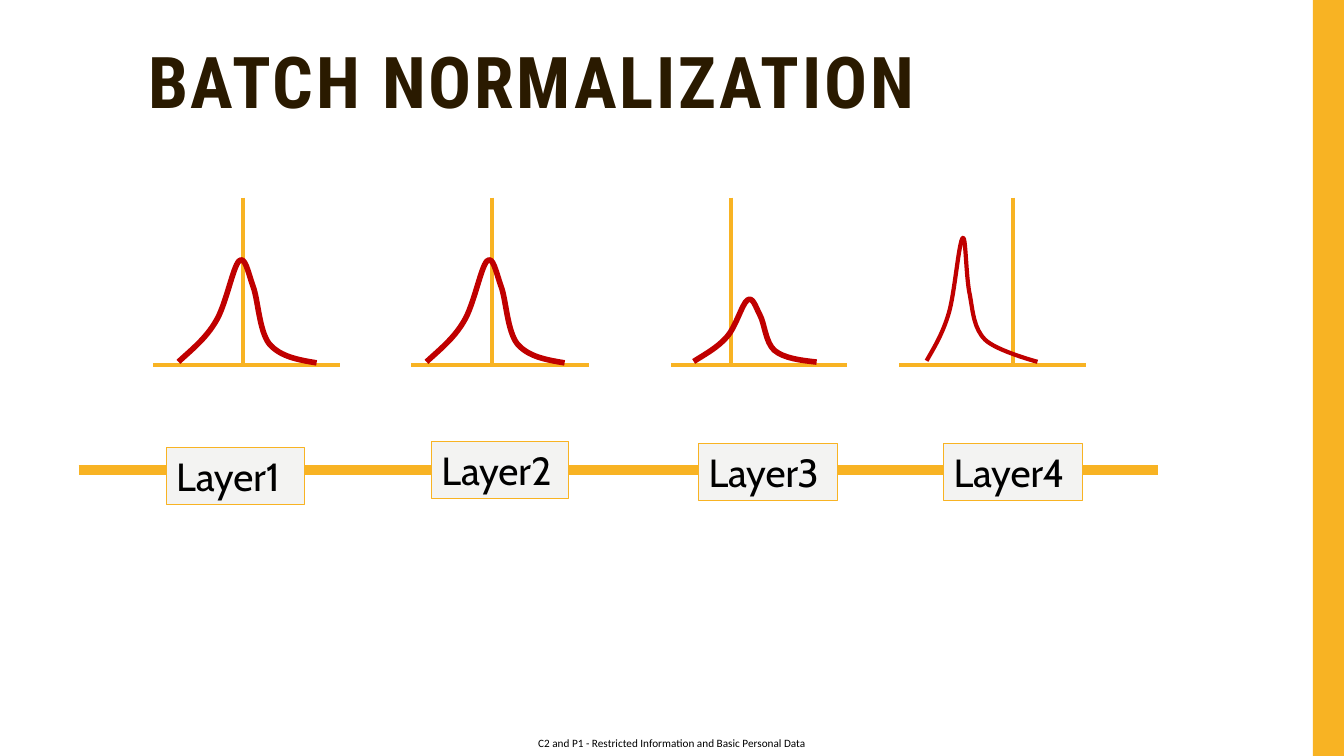
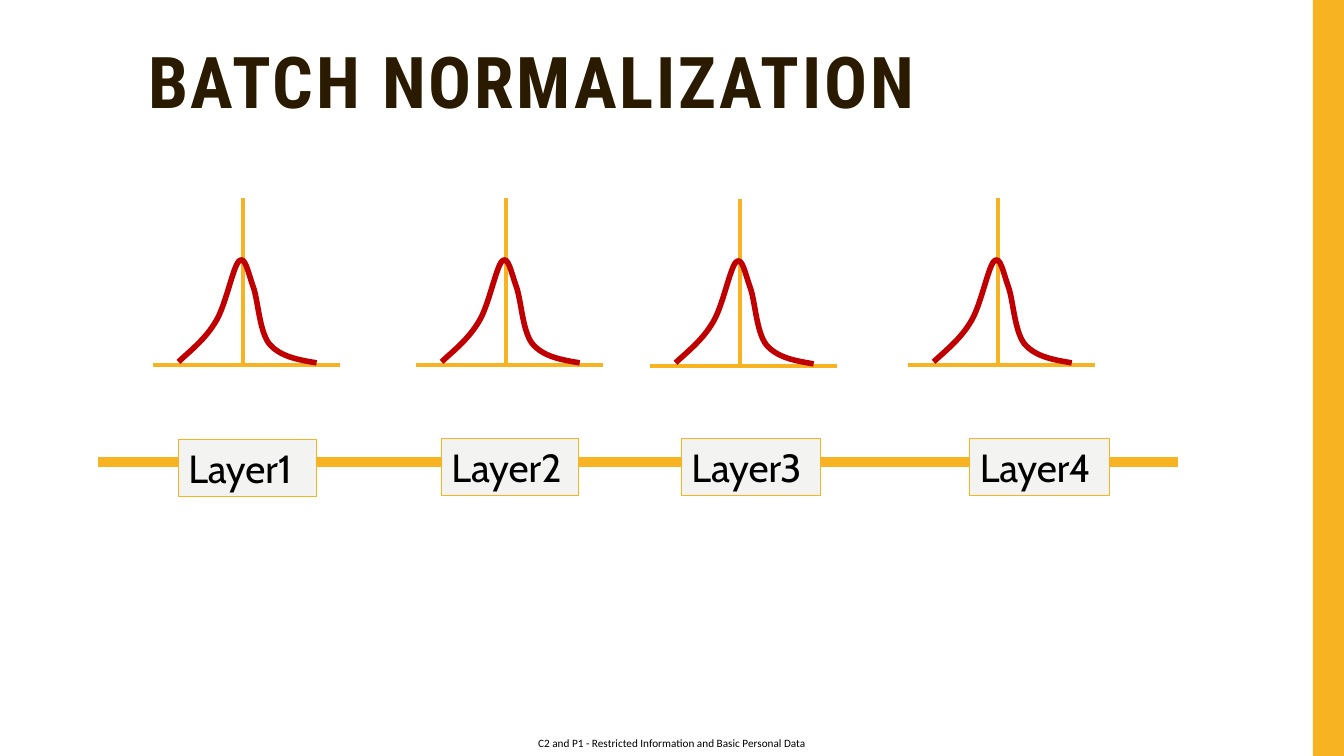
from dataclasses import dataclass

from lxml.etree import SubElement
from pptx import Presentation
from pptx.dml.color import RGBColor
from pptx.enum.shapes import MSO_CONNECTOR, MSO_SHAPE
from pptx.enum.text import MSO_ANCHOR, PP_ALIGN
from pptx.oxml.ns import qn
from pptx.shapes.autoshape import Shape
from pptx.slide import Slide
from pptx.util import Inches, Pt

COLOURS = {
    "gold": "F8B323",
    "title": "2A1A00",
    "curve": "C00000",
    "layer": "F3F3F2",
    "text": "000000",
}
FONTS = {
    "title": {"name": "Roboto Condensed", "size": Pt(51), "bold": True},
    "layer": {"name": "Cabin", "size": Pt(28), "bold": False},
    "footer": {"name": "Calibri", "size": Pt(8), "bold": False},
}
TOP = {"vertical_anchor": MSO_ANCHOR.TOP}
FOOTER_FRAME = {
    "vertical_anchor": MSO_ANCHOR.MIDDLE,
    "margin_left": 0, "margin_right": 0, "margin_top": 0, "margin_bottom": 0,
}

Point = tuple[float, float]

BELL: tuple[Point, ...] = (
    (0, 1.01), (0.13, 0.89), (0.27, 0.78), (0.37, 0.61),
    (0.47, 0.45), (0.54, 0.07), (0.6, 0.01),
    (0.66, -0.05), (0.69, 0.12), (0.74, 0.26),
    (0.79, 0.39), (0.8, 0.7), (0.9, 0.83),
    (1.01, 0.96), (1.19, 0.99), (1.37, 1.02),
)
SPIKE: tuple[Point, ...] = (
    (0, 1.23), (0.08, 1.09), (0.16, 0.96), (0.22, 0.76),
    (0.28, 0.56), (0.32, 0.04), (0.36, 0.01),
    (0.39, -0.02), (0.39, 0.41), (0.43, 0.58),
    (0.46, 0.75), (0.47, 0.91), (0.58, 1.02),
    (0.69, 1.13), (1.1, 1.24), (1.1, 1.24),
)


@dataclass(frozen=True)
class Curve:
    """A distribution outline, its place, scale and line weight."""

    left: float
    top: float = 2.58
    outline: tuple[Point, ...] = BELL
    scale_x: float = 1
    scale_y: float = 1
    weight: float = 4


@dataclass(frozen=True)
class Graph:
    """A pair of axes with a distribution over them."""

    left: float
    mean: float
    curve: Curve
    width: float = 1.85
    base: float = 3.62


@dataclass(frozen=True)
class Layer:
    """A named box on the network line."""

    left: float
    top: float
    width: float = 1.38


@dataclass(frozen=True)
class Network:
    """The content of one slide."""

    line_left: float
    line_y: float
    layers: tuple[Layer, ...]
    graphs: tuple[Graph, ...]


def centred_graph(left: float, drop: float = 0) -> Graph:
    """Return a graph whose bell sits on its vertical axis."""
    return Graph(left, left + 0.89, Curve(left + 0.25, 2.58 + drop), base=3.62 + drop)


NETWORKS = (
    Network(
        0.78, 4.66,
        (Layer(1.65, 4.44, 1.37), Layer(4.28, 4.38, 1.36), Layer(6.93, 4.4), Layer(9.36, 4.4)),
        (
            centred_graph(1.52),
            Graph(4.08, 4.88, Curve(4.23), width=1.76),
            Graph(6.66, 7.25, Curve(6.88, 2.97, scale_x=0.89, scale_y=0.61), width=1.74),
            Graph(8.92, 10.05, Curve(9.19, 2.35, SPIKE, weight=3)),
        ),
    ),
    Network(
        0.97, 4.58,
        (Layer(1.77, 4.36, 1.37), Layer(4.38, 4.35, 1.36), Layer(6.76, 4.35), Layer(9.62, 4.35)),
        (
            centred_graph(1.52),
            centred_graph(4.13),
            centred_graph(6.45, drop=0.01),
            centred_graph(9.01),
        ),
    ),
)


def colour(name: str) -> RGBColor:
    """Return a named colour."""
    return RGBColor.from_string(COLOURS[name])


def apply(target: object, values: dict) -> None:
    """Set attributes from a dict of format values."""
    for name, value in values.items():
        setattr(target, name, value)


def write(box: Shape, text: str, style: str, ink: str, frame: dict, para_format: dict) -> None:
    """Fill a shape with one formatted paragraph."""
    apply(box.text_frame, {"word_wrap": True, **frame})
    para = box.text_frame.paragraphs[0]
    apply(para, para_format)
    span = para.add_run()
    span.text = text
    apply(span.font, FONTS[style])
    span.font.color.rgb = colour(ink)
    if style == "title":
        span.font._element.set("spc", "200")


def add_rectangle(page: Slide, left: float, top: float, width: float, height: float, fill: str) -> Shape:
    """Draw a plain rectangle without a line."""
    box = page.shapes.add_shape(
        MSO_SHAPE.RECTANGLE, Inches(left), Inches(top), Inches(width), Inches(height)
    )
    box.shadow.inherit = False
    box.fill.solid()
    box.fill.fore_color.rgb = colour(fill)
    box.line.fill.background()
    return box


def add_line(page: Slide, start: Point, end: Point, weight: float) -> None:
    """Draw a straight gold line."""
    ends = [Inches(value) for value in (*start, *end)]
    line = page.shapes.add_connector(MSO_CONNECTOR.STRAIGHT, *ends)
    line.line.color.rgb = colour("gold")
    line.line.width = Pt(weight)
    SubElement(line._element.spPr, qn("a:effectLst"))


def bend(shape: Shape, points: list[tuple[int, int]]) -> None:
    """Turn the straight segments of a freeform into cubic Bézier segments."""
    for index, segment in enumerate(list(shape._element.iter(qn("a:lnTo")))):
        segment.clear()
        segment.tag = qn("a:cubicBezTo")
        for x, y in points[3 * index + 1:3 * index + 4]:
            SubElement(segment, qn("a:pt"), x=str(x - shape.left), y=str(y - shape.top))


def add_curve(page: Slide, curve: Curve) -> None:
    """Draw a distribution curve."""
    points = [
        (Inches(curve.left + x * curve.scale_x), Inches(curve.top + y * curve.scale_y))
        for x, y in curve.outline
    ]
    builder = page.shapes.build_freeform(*points[0])
    builder.add_line_segments(points[3::3], close=False)
    shape = builder.convert_to_shape()
    bend(shape, points)
    shape.shadow.inherit = False
    shape.fill.background()
    shape.line.color.rgb = colour("curve")
    shape.line.width = Pt(curve.weight)


def add_graph(page: Slide, graph: Graph) -> None:
    """Draw the axes and the curve of a graph."""
    add_line(page, (graph.left, graph.base), (graph.left + graph.width, graph.base), 3)
    add_line(page, (graph.mean, graph.base - 1.66), (graph.mean, graph.base), 3)
    add_curve(page, graph.curve)


def add_layer(page: Slide, layer: Layer, number: int) -> None:
    """Draw a numbered layer box."""
    box = add_rectangle(page, layer.left, layer.top, layer.width, 0.57, "layer")
    box.line.color.rgb = colour("gold")
    box.line.width = Pt(0.75)
    write(box, f"Layer{number}", "layer", "text", TOP, {"alignment": PP_ALIGN.LEFT})


def add_frame(page: Slide) -> None:
    """Draw the side band, footer and title that all slides share."""
    add_rectangle(page, 13.02, 0, 0.31, 7.5, "gold")
    footer = page.shapes.add_textbox(Inches(5.17), Inches(7.25), Inches(2.99), Inches(0.25))
    write(footer, "C2 and P1 - Restricted Information and Basic Personal Data", "footer", "text",
          FOOTER_FRAME, {"alignment": PP_ALIGN.CENTER})
    title = page.shapes.add_textbox(Inches(1.37), Inches(0.42), Inches(11.13), Inches(0.95))
    write(title, "BATCH NORMALIZATION", "title", "title", TOP, {"line_spacing": 0.9})


def main() -> None:
    """Build the deck and save it."""
    deck = Presentation()
    deck.slide_width, deck.slide_height = Inches(13.33), Inches(7.5)
    for network in NETWORKS:
        page = deck.slides.add_slide(deck.slide_layouts[6])
        add_frame(page)
        line_start = (network.line_left, network.line_y)
        add_line(page, line_start, (network.line_left + 10.71, network.line_y), 7.25)
        for number, layer in enumerate(network.layers, start=1):
            add_layer(page, layer, number)
        for graph in network.graphs:
            add_graph(page, graph)
    deck.save("out.pptx")


if __name__ == "__main__":
    main()
